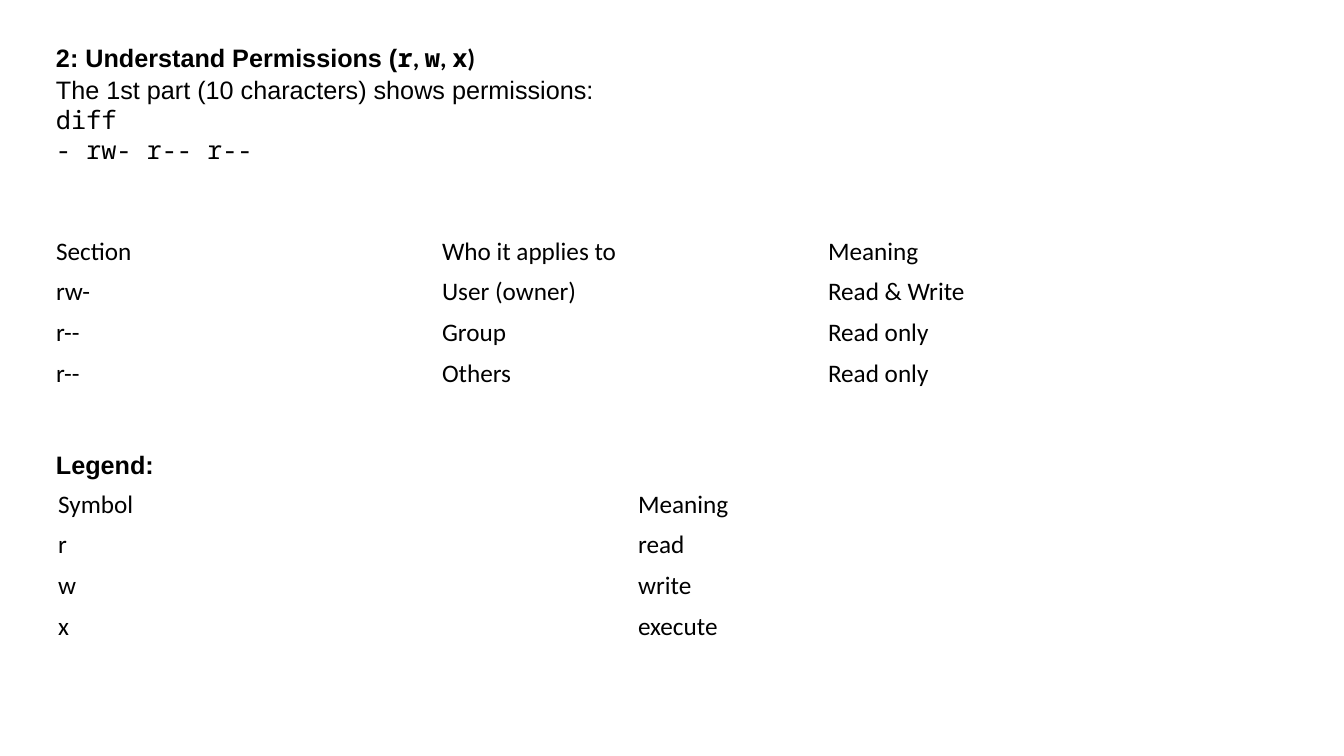
import pptx
import pptx.dml.color
import pptx.enum.text
import pptx.util

PX = 9071.43  # EMU in one px
COLOURS = {"text": "000000"}
SANS, TABLE_FONT, MONO = "Arial", "Calibri", "Noto Sans Mono"
ROW_HEIGHT = 40


def px(length):
    return pptx.util.Emu(round(length * PX))


def add_run(paragraph, text, font=SANS, size=18, bold=False, colour="text"):
    run = paragraph.add_run()
    run.text = text
    run.font.name = font
    run.font.size = pptx.util.Pt(size)
    run.font.bold = bold
    run.font.color.rgb = pptx.dml.color.RGBColor.from_string(COLOURS[colour])


class SlideBuilder:
    def __init__(self, presentation):
        title_only = presentation.slide_layouts.get_by_name("Title Only")
        self.slide = presentation.slides.add_slide(title_only)

    def fill_text(self, shape, lines):
        """Write lines, each a list of (text, font) runs or of (text, font, bold) runs."""
        frame = shape.text_frame
        frame.word_wrap = True
        frame.auto_size = pptx.enum.text.MSO_AUTO_SIZE.NONE
        frame.vertical_anchor = pptx.enum.text.MSO_ANCHOR.TOP
        frame.margin_left = frame.margin_right = px(10)
        frame.margin_top = frame.margin_bottom = 0
        for index, runs in enumerate(lines):
            paragraph = frame.paragraphs[0] if index == 0 else frame.add_paragraph()
            paragraph.alignment = pptx.enum.text.PP_ALIGN.LEFT
            for text, font, *bold in runs:
                add_run(paragraph, text, font=font, bold=bool(bold and bold[0]))

    def title(self, left, top, width, height, runs):
        shape = self.slide.shapes.title
        shape.left, shape.top = px(left), px(top)
        shape.width, shape.height = px(width), px(height)
        self.fill_text(shape, [runs])

    def text(self, left, top, width, height, lines):
        shape = self.slide.shapes.add_textbox(px(left), px(top), px(width), px(height))
        self.fill_text(shape, lines)

    def table(self, left, top, column_width, rows):
        columns = len(rows[0])
        table = self.slide.shapes.add_table(
            len(rows), columns, px(left), px(top),
            px(column_width * columns), px(ROW_HEIGHT * len(rows))).table
        table.first_row = table.horz_banding = False
        for row_index, row in enumerate(rows):
            for column_index, text in enumerate(row):
                cell = table.cell(row_index, column_index)
                cell.fill.background()
                cell.vertical_anchor = pptx.enum.text.MSO_ANCHOR.MIDDLE
                add_run(cell.text_frame.paragraphs[0], text, font=TABLE_FONT)


def main():
    presentation = pptx.Presentation()
    presentation.slide_width, presentation.slide_height = px(1344), px(756)
    builder = SlideBuilder(presentation)

    builder.title(46, 42, 563, 31, [
        ("2: Understand Permissions (", SANS, True),
        ("r", MONO, True), (", ", TABLE_FONT, True),
        ("w", MONO, True), (", ", TABLE_FONT, True),
        ("x", MONO, True), (")", TABLE_FONT, True),
    ])
    builder.text(46, 74, 563, 92, [
        [("The 1st part (10 characters) shows permissions:", SANS)],
        [("diff", MONO)],
        [("- rw- r-- r--", MONO)],
    ])
    builder.table(46, 231, 386, [
        ("Section", "Who it applies to", "Meaning"),
        ("rw-", "User (owner)", "Read & Write"),
        ("r--", "Group", "Read only"),
        ("r--", "Others", "Read only"),
    ])
    builder.text(46, 449, 119, 30, [[("Legend:", SANS, True)]])
    builder.table(48, 484, 580, [
        ("Symbol", "Meaning"),
        ("r", "read"),
        ("w", "write"),
        ("x", "execute"),
    ])
    presentation.save("out.pptx")


if __name__ == "__main__":
    main()
